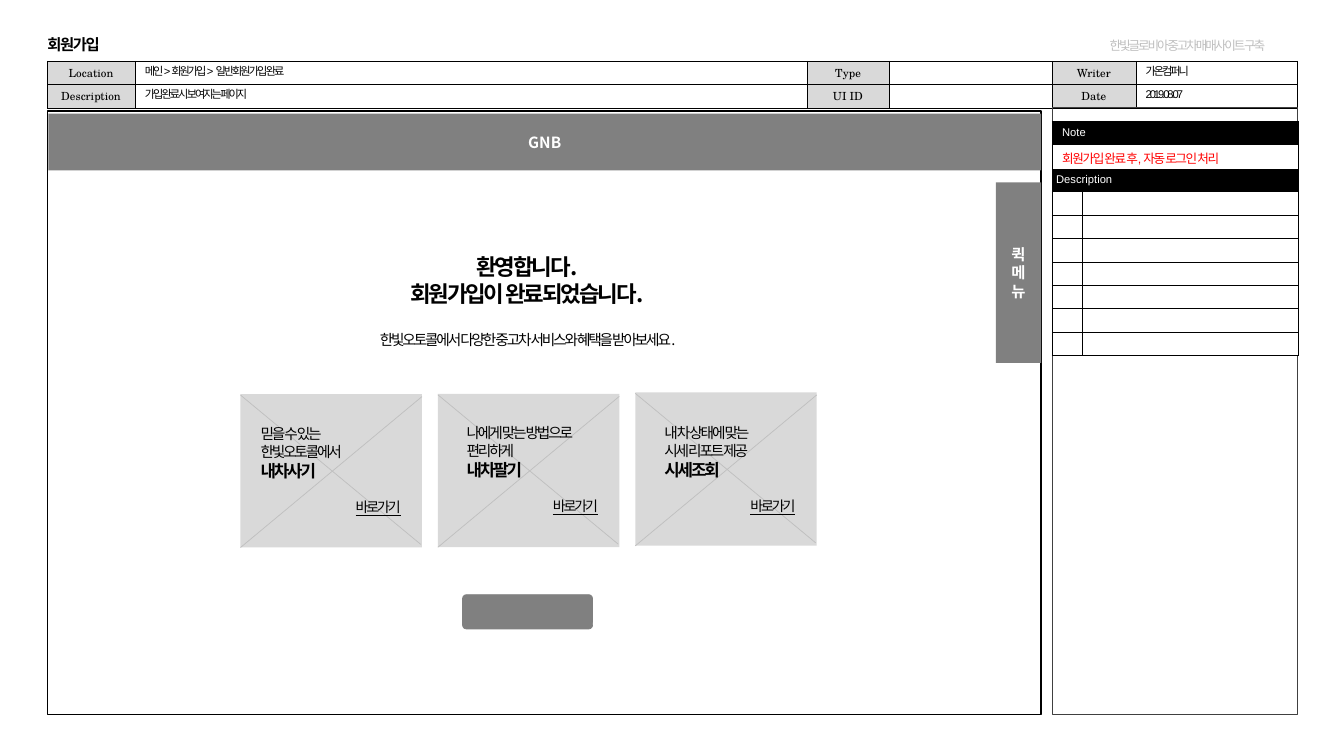
import pptx
import pptx.util
import pptx.dml.color
import pptx.enum.shapes
import pptx.enum.text
import pptx.oxml
import pptx.oxml.ns
from lxml import etree

Pt = pptx.util.Pt
SHAPE = pptx.enum.shapes.MSO_SHAPE
ALIGN = {"l": pptx.enum.text.PP_ALIGN.LEFT, "c": pptx.enum.text.PP_ALIGN.CENTER,
         "r": pptx.enum.text.PP_ALIGN.RIGHT}
MIDDLE = pptx.enum.text.MSO_ANCHOR.MIDDLE
COLORS = {"black": "000000", "white": "FFFFFF", "gray": "808080", "light": "D9D9D9",
          "rule": "BFBFBF", "frame": "404040", "red": "FF0000"}
KR = "Noto Sans CJK KR"
HEADER_ROW = 16.7
qn = pptx.oxml.ns.qn


def rgb(name):
    return pptx.dml.color.RGBColor.from_string(COLORS[name])


def write(tf, text, size=8, font="Arial", color="black", bold=False, underline=False,
          spacing=0, align="l", before=0, line=None, add=False):
    """Put text in the first paragraph of tf, or in a new one if add is set."""
    p = tf.add_paragraph() if add else tf.paragraphs[0]
    p.alignment = ALIGN[align]
    if before:
        p.space_before = Pt(before)
    if line:
        p.line_spacing = line
    r = p.add_run()
    r.text = text
    f = r.font
    f.size, f.name, f.bold, f.underline = Pt(size), font, bold, underline
    f.color.rgb = rgb(color)
    rPr = f._element
    rPr.set("spc", str(int(spacing * 100)))
    ea = etree.Element(qn("a:ea"), typeface=KR)
    rPr.find(qn("a:latin")).addnext(ea)


def set_insets(holder, left, top, right, bottom):
    holder.margin_left, holder.margin_top = Pt(left), Pt(top)
    holder.margin_right, holder.margin_bottom = Pt(right), Pt(bottom)


def text_box(s, box, insets=(7.2, 3.6, 7.2, 3.6), middle=False):
    tf = s.shapes.add_textbox(*map(Pt, box)).text_frame
    tf.word_wrap = True
    set_insets(tf, *insets)
    if middle:
        tf.vertical_anchor = MIDDLE
    return tf


def add_shape(shapes, box, fill=None, line=None, weight=0.25, kind=SHAPE.RECTANGLE):
    sp = shapes.add_shape(kind, *map(Pt, box))
    sp.shadow.inherit = False
    if fill:
        sp.fill.solid()
        sp.fill.fore_color.rgb = rgb(fill)
    else:
        sp.fill.background()
    if line:
        sp.line.color.rgb = rgb(line)
        sp.line.width = Pt(weight)
    else:
        sp.line.fill.background()
    sp.text_frame.word_wrap = True
    sp.text_frame.vertical_anchor = MIDDLE
    return sp


def add_line(shapes, x1, y1, x2, y2, color, weight):
    c = shapes.add_connector(pptx.enum.shapes.MSO_CONNECTOR.STRAIGHT,
                             Pt(x1), Pt(y1), Pt(x2), Pt(y2))
    c.line.color.rgb = rgb(color)
    c.line.width = Pt(weight)
    etree.SubElement(c._element.spPr, qn("a:effectLst"))


def style_cell(cell, fill):
    tcPr = cell._tc.get_or_add_tcPr()
    for side in ("lnL", "lnR", "lnT", "lnB"):
        ln = etree.SubElement(tcPr, qn("a:" + side), w=str(Pt(0.25)))
        solid = etree.SubElement(ln, qn("a:solidFill"))
        etree.SubElement(solid, qn("a:srgbClr"), val=COLORS["black"])
    cell.fill.solid()
    cell.fill.fore_color.rgb = rgb(fill)
    cell.vertical_anchor = MIDDLE
    set_insets(cell, 2.9, 1, 2.9, 1)
    cell.text_frame.paragraphs[0]._p.get_or_add_endParaRPr().set("sz", "800")


def add_table(s, left, top, cols, rows):
    frame = s.shapes.add_table(len(rows), len(cols), Pt(left), Pt(top),
                               Pt(sum(cols)), Pt(sum(rows)))
    table = frame.table
    table.first_row = table.horz_banding = False
    for column, width in zip(table.columns, cols):
        column.width = Pt(width)
    for row, height in zip(table.rows, rows):
        row.height = Pt(height)
    return table


def header(s, left, top):
    cols = [62.6, 480.2, 58.3, 116.6, 59.8, 115.2]
    table = add_table(s, left, top, cols, [HEADER_ROW] * 2)
    labels = [("Location", "Type", "Writer"), ("Description", "UI ID", "Date")]
    for i, names in enumerate(labels):
        for j in range(len(cols)):
            cell = table.cell(i, j)
            style_cell(cell, "white" if j % 2 else "light")
            if j % 2 == 0:
                write(cell.text_frame, names[j // 2], font="TeX Gyre Schola", align="c")
    add_line(s.shapes, left, top, left + sum(cols), top, "black", 0.25)

    write(text_box(s, (left, top - 16.6, 291.6, 12.2), (0, 0, 0, 0)), "회원가입",
          size=11, bold=True, spacing=-1, line=0.9)
    write(text_box(s, (left + 751.7, top - 20.2, 139, 18)), "한빛글로비아 중고차매매사이트 구축",
          size=9, color="rule", spacing=-1.5)
    values = [(1, 479.5, ("메인 > 회원가입 >  일반회원 가입 완료", "가입 완료시 보여지는 페이지")),
              (5, 115.2, ("가온컴퍼니", "2019.08.07"))]
    for col, width, texts in values:
        for i, text in enumerate(texts):
            box = (left + sum(cols[:col]), top + 0.7 + HEADER_ROW * i, width, 14.4)
            write(text_box(s, box, (7.2, 0, 7.2, 0), True), text, spacing=-1.5, line=0.9)


def card(s, left, top, text_left, text_top, lines):
    """Place a crossed tile, and its text box at an offset from the tile."""
    w, h = 129.6, 109.6
    shapes = s.shapes.add_group_shape().shapes
    add_shape(shapes, (left, top, w, h), fill="light")
    add_line(shapes, left, top + h, left + w, top + 1.8, "rule", 0.5)
    add_line(shapes, left, top + 0.7, left + w - 0.8, top + h - 2.2, "rule", 0.5)
    tf = text_box(s, (left + text_left, top + text_top, 121.4 - text_left, 72.5))
    first, second, action = lines
    write(tf, first, size=10.5, font=KR, spacing=-1.5)
    write(tf, second, size=10.5, font=KR, spacing=-1.5, add=True)
    write(tf, action, size=12, font=KR, bold=True, spacing=-1.5, add=True)
    write(tf, "바로가기", size=10, font=KR, underline=True, spacing=-1.5,
          align="r", before=13, add=True)


def screen(s, left, top, width, height):
    add_shape(s.shapes, (left, top, width, height), line="black", weight=1)
    bold = dict(font=KR, bold=True, align="c")
    gnb = add_shape(s.shapes, (left + 0.7, top + 2, width - 0.7, 40.5), fill="gray")
    write(gnb.text_frame, "GNB", size=11, color="white", **bold)
    quick = add_shape(s.shapes, (left + width - 32.4, top + 51, 32.4, 129), fill="gray")
    write(quick.text_frame, "퀵", size=11, color="white", **bold)
    write(quick.text_frame, "메뉴", size=11, color="white", add=True, **bold)

    welcome = text_box(s, (left + 213.8, top + 98, 257.8, 46))
    write(welcome, "환영합니다.", size=16, spacing=-1.5, **bold)
    write(welcome, "회원가입이 완료되었습니다.", size=16, spacing=-1.5, add=True, **bold)
    write(text_box(s, (left + 216, top + 153.4, 254.2, 20.2)),
          "한빛오토콜에서 다양한 중고차 서비스와 혜택을 받아보세요.",
          size=10.5, font=KR, spacing=-1.5, align="c")

    cards = [(202.3, 7.2, 18.7, ("믿을 수 있는", "한빛오토콜에서", "내차사기")),
             (202.1, 13.5, 18.2, ("나에게 맞는 방법으로", "편리하게", "내차팔기")),
             (201.1, 13.7, 19.2, ("내 차 상태에 맞는", "시세 리포트 제공", "시세조회"))]
    for i, (y, text_left, text_top, lines) in enumerate(cards):
        card(s, left + 138 + 141 * i, top + y, text_left, text_top, lines)

    button = add_shape(s.shapes, (left + 296.6, top + 345.6, 92.9, 24.5), "gray", "gray",
                       0.5, SHAPE.ROUNDED_RECTANGLE)
    button.adjustments[0] = 0.11


def notes_panel(s, left, top, width, height):
    add_shape(s.shapes, (left, top, width, height), line="frame")
    table = add_table(s, left, top + 9.5, [21.6, 154],
                      [16.4, 17.9, 15.9] + [16.8] * 7)
    for i in range(len(table.rows)):
        for j in range(2):
            style_cell(table.cell(i, j), "black" if i in (0, 2) else "white")
    for i in range(3):
        table.cell(i, 0).merge(table.cell(i, 1))
    note, message, description = (table.cell(i, 0) for i in range(3))
    set_insets(note, 7.2, 1, 7.2, 1)
    set_insets(message, 7.2, 2.2, 7.2, 0)
    write(note.text_frame, "Note", color="white")
    write(message.text_frame, "회원가입 완료 후, 자동 로그인 처리", size=9, color="red", spacing=-1)
    write(description.text_frame, "Description", color="white")


def main():
    prs = pptx.Presentation()
    prs.slide_width, prs.slide_height = Pt(960), Pt(540)
    s = prs.slides.add_slide(prs.slide_layouts[6])
    header_top = 43.5
    panel_top = header_top + 2 * HEADER_ROW
    header(s, 33.8, header_top)
    screen(s, 33.8, 79.2, 709.9, 431.3)
    notes_panel(s, 751.5, panel_top, 175.4, 510.5 - panel_top)
    prs.save("out.pptx")


if __name__ == "__main__":
    main()
